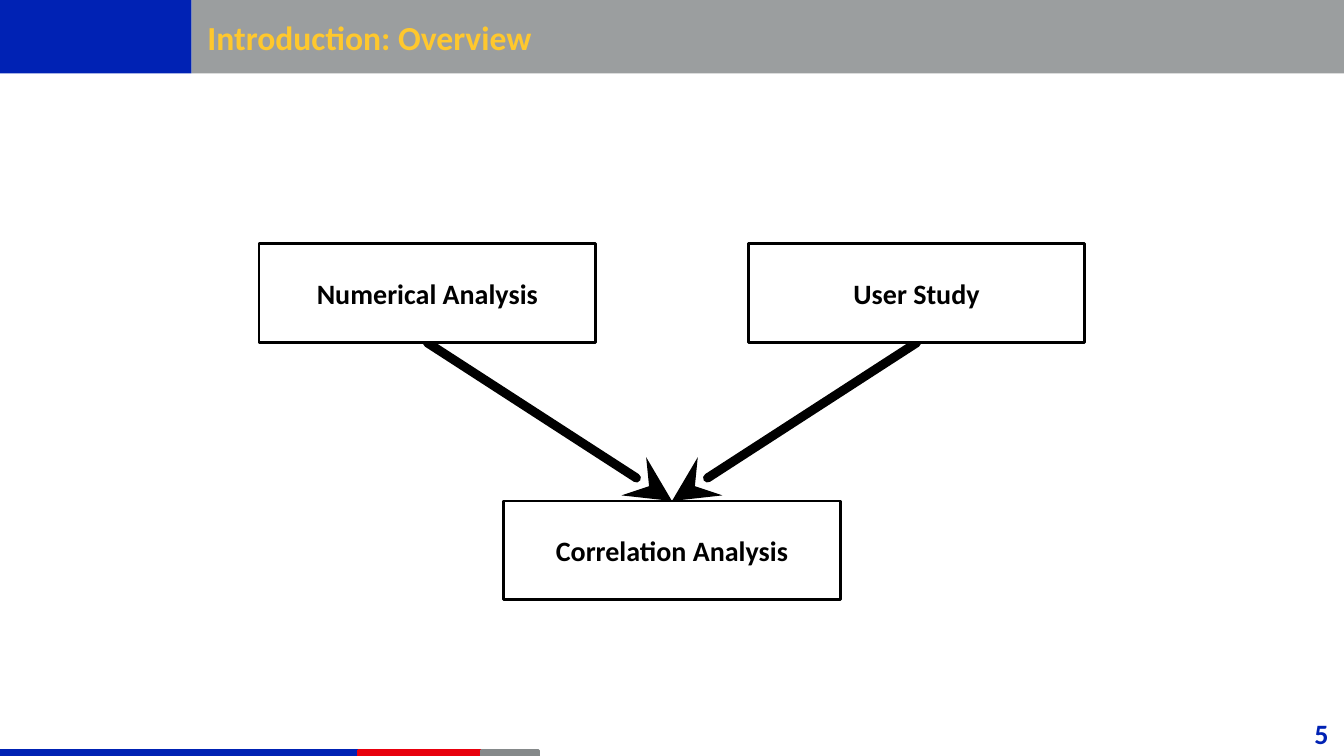
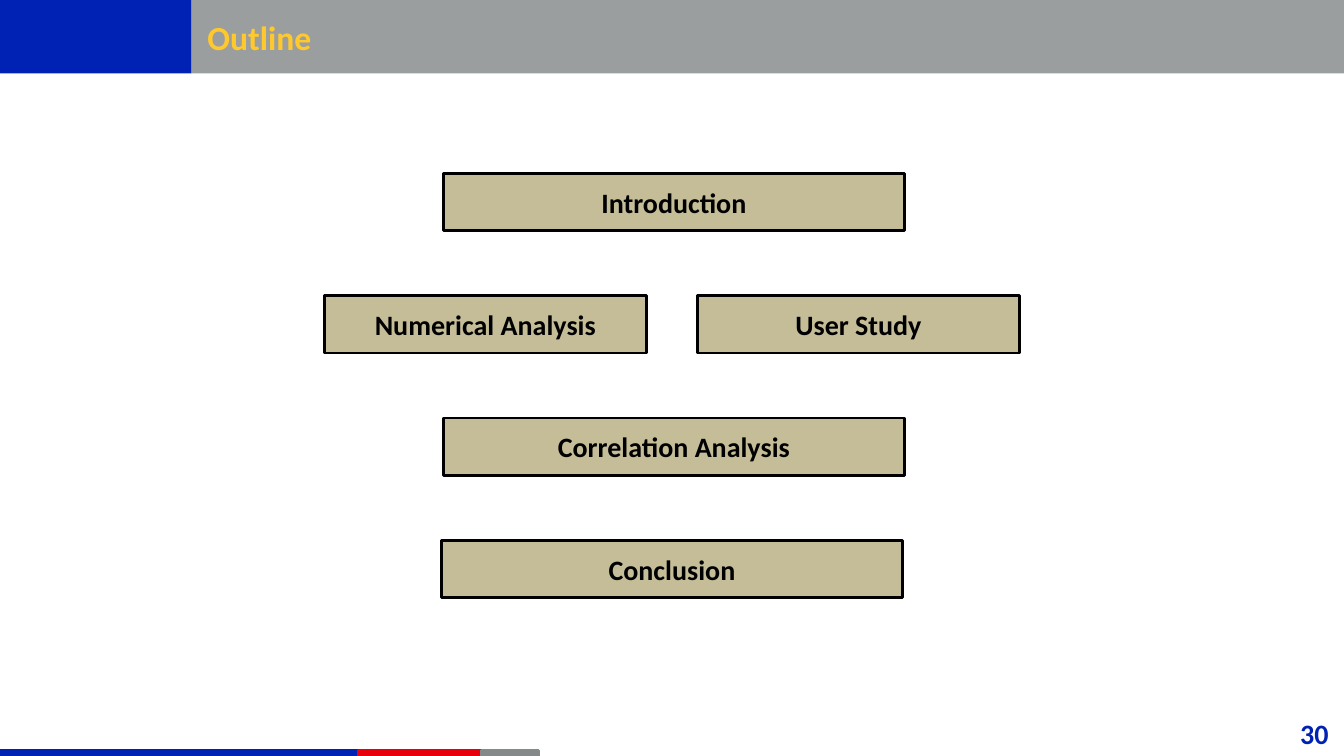
from dataclasses import dataclass

from lxml.etree import SubElement
from pptx import Presentation
from pptx.dml.color import RGBColor
from pptx.enum.shapes import MSO_CONNECTOR as Connector, MSO_SHAPE as Preset
from pptx.enum.text import MSO_ANCHOR as Anchor, PP_ALIGN as Align
from pptx.oxml.ns import qn
from pptx.util import Inches, Pt

SLIDE_WIDTH, SLIDE_HEIGHT = Inches(13.333), Inches(7.5)
FONT = "Calibri"
COLORS = {
    "blue": "0022B4",
    "red": "E8000D",
    "gray": "85898A",
    "gold": "FFC82D",
    "tan": "C4BD97",
    "white": "FFFFFF",
    "black": "000000",
}
BOTTOM_SITE, TOP_SITE = 2, 0


@dataclass(frozen=True)
class Area:
    """A rectangle in percent of the slide's width and height."""
    left: float
    top: float
    width: float
    height: float

    @property
    def center(self) -> float:
        return self.left + self.width / 2

    @property
    def bottom(self) -> float:
        return self.top + self.height

    def lengths(self) -> tuple:
        return (across(self.left), down(self.top),
                across(self.width), down(self.height))


@dataclass(frozen=True)
class Band:
    area: Area
    color: str
    outlined: bool = False
    opacity: int = 100


@dataclass(frozen=True)
class Box:
    text: str
    area: Area


HEADER_HEIGHT, HEADER_SPLIT = 9.73, 14.25
FOOTER_TOP, FOOTER_HEIGHT = 99.33, 0.67
BANDS = (
    Band(Area(0, FOOTER_TOP, 26.7, FOOTER_HEIGHT), "blue", outlined=True),
    Band(Area(26.7, FOOTER_TOP, 9.98, FOOTER_HEIGHT), "red", outlined=True),
    Band(Area(35.85, FOOTER_TOP, 4.2, FOOTER_HEIGHT), "gray", outlined=True),
    Band(Area(HEADER_SPLIT, 0, 100 - HEADER_SPLIT, HEADER_HEIGHT), "gray", opacity=82),
    Band(Area(0, 0, HEADER_SPLIT, HEADER_HEIGHT), "blue"),
)
TITLE_AREA = Area(14.7, 0.8, 65.55, 8.13)
NUMBER_AREA = Area(88.65, 94.27, 10.95, 5.33)


def across(percent: float) -> int:
    return round(SLIDE_WIDTH * percent / 100)


def down(percent: float) -> int:
    return round(SLIDE_HEIGHT * percent / 100)


def rgb(name: str) -> RGBColor:
    return RGBColor.from_string(COLORS[name])


def centered(text: str, center: float, top: float, width: float, height: float) -> Box:
    return Box(text, Area(center - width / 2, top, width, height))


def write(shape, text: str, *, size: int = 20, color: str = "black",
          align=Align.CENTER) -> None:
    frame = shape.text_frame
    frame.word_wrap = True
    frame.vertical_anchor = Anchor.MIDDLE
    paragraph = frame.paragraphs[0]
    paragraph.alignment = align
    run = paragraph.add_run()
    run.text = text
    run.font.name = FONT
    run.font.size = Pt(size)
    run.font.bold = True
    run.font.color.rgb = rgb(color)


def add_rectangle(slide, area: Area, fill: str, line: str | None = None):
    shape = slide.shapes.add_shape(Preset.RECTANGLE, *area.lengths())
    shape.shadow.inherit = False
    shape.fill.solid()
    shape.fill.fore_color.rgb = rgb(fill)
    if line:
        shape.line.color.rgb = rgb(line)
        shape.line.width = Pt(2)
    else:
        shape.line.fill.background()
    return shape


def add_band(slide, band: Band) -> None:
    shape = add_rectangle(slide, band.area, band.color,
                          band.color if band.outlined else None)
    if band.opacity < 100:
        color = shape.fill._xPr.find(f".//{qn('a:srgbClr')}")
        SubElement(color, qn("a:alpha"), val=str(band.opacity * 1000))


def add_box(slide, box: Box, fill: str):
    shape = add_rectangle(slide, box.area, fill, "black")
    write(shape, box.text)
    return shape


def add_arrow(slide, source: Area, target: Area):
    """Draw a heavy arrow from the source's bottom to the target's top."""
    arrow = slide.shapes.add_connector(
        Connector.STRAIGHT, across(source.center), down(source.bottom),
        across(target.center), down(target.top))
    arrow.line.color.rgb = rgb("black")
    arrow.line.width = Pt(6.5)
    line = arrow.line._get_or_add_ln()
    line.set("cap", "rnd")
    SubElement(line, qn("a:round"))
    SubElement(line, qn("a:tailEnd"), type="stealth", w="lg", len="lg")
    SubElement(arrow._element.spPr, qn("a:effectLst"))
    return arrow


def add_slide(presentation, title: str, number: int):
    """Add a slide with the shared bands, title and page number."""
    slide = presentation.slides.add_slide(presentation.slide_layouts[6])
    for band in BANDS:
        add_band(slide, band)
    title_box = slide.shapes.add_textbox(*TITLE_AREA.lengths())
    write(title_box, title, size=24, color="gold", align=Align.LEFT)
    number_box = slide.shapes.add_textbox(*NUMBER_AREA.lengths())
    write(number_box, str(number), color="blue", align=Align.RIGHT)
    return slide


def build_overview(presentation) -> None:
    slide = add_slide(presentation, "Introduction: Overview", 5)
    width, height, offset = 25.05, 13.07, 18.2
    target = centered("Correlation Analysis", 50, 66.27, width, height)
    target_shape = add_box(slide, target, "white")
    for text, center in (("Numerical Analysis", 50 - offset), ("User Study", 50 + offset)):
        source = centered(text, center, 32.27, width, height)
        arrow = add_arrow(slide, source.area, target.area)
        source_shape = add_box(slide, source, "white")
        arrow.begin_connect(source_shape, BOTTOM_SITE)
        arrow.end_connect(target_shape, TOP_SITE)


def build_outline(presentation) -> None:
    slide = add_slide(presentation, "Outline", 30)
    first_top, row_step, height = 22.93, 16.18, 7.6
    wide, narrow, offset = 34.28, 23.93, 13.88
    rows = (
        (("Introduction", 50.14, wide),),
        (("Numerical Analysis", 50 - offset, narrow), ("User Study", 50 + offset, narrow)),
        (("Correlation Analysis", 50.14, wide),),
        (("Conclusion", 50, wide),),
    )
    for index, row in enumerate(rows):
        for text, center, width in row:
            box = centered(text, center, first_top + index * row_step, width, height)
            add_box(slide, box, "tan")


def main() -> None:
    presentation = Presentation()
    presentation.slide_width = SLIDE_WIDTH
    presentation.slide_height = SLIDE_HEIGHT
    build_overview(presentation)
    build_outline(presentation)
    presentation.save("out.pptx")


if __name__ == "__main__":
    main()
